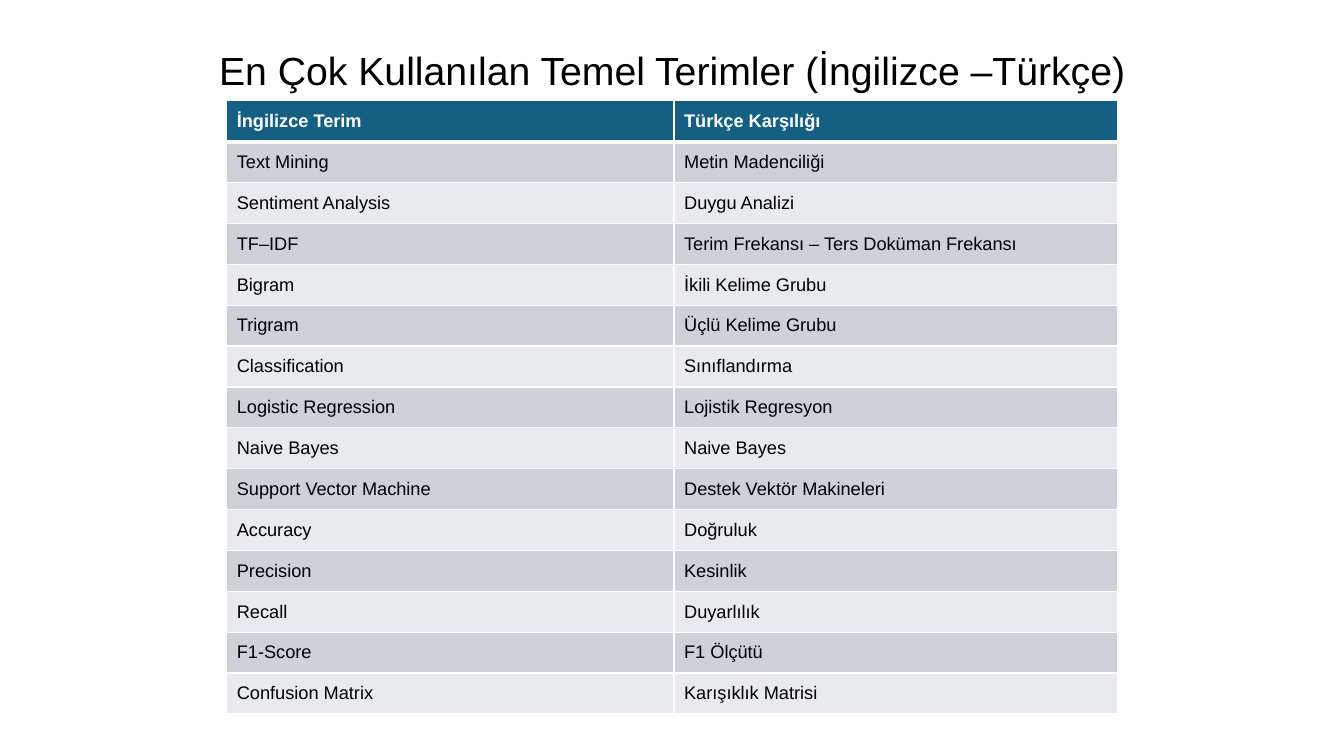
import pptx
import pptx.dml.color
import pptx.enum.text
import pptx.oxml
import pptx.oxml.ns
import pptx.util

Pt = pptx.util.Pt

TITLE = "En Çok Kullanılan Temel Terimler (İngilizce –Türkçe)"
TERMS = [
    ("İngilizce Terim", "Türkçe Karşılığı"),
    ("Text Mining", "Metin Madenciliği"),
    ("Sentiment Analysis", "Duygu Analizi"),
    ("TF–IDF", "Terim Frekansı – Ters Doküman Frekansı"),
    ("Bigram", "İkili Kelime Grubu"),
    ("Trigram", "Üçlü Kelime Grubu"),
    ("Classification", "Sınıflandırma"),
    ("Logistic Regression", "Lojistik Regresyon"),
    ("Naive Bayes", "Naive Bayes"),
    ("Support Vector Machine", "Destek Vektör Makineleri"),
    ("Accuracy", "Doğruluk"),
    ("Precision", "Kesinlik"),
    ("Recall", "Duyarlılık"),
    ("F1-Score", "F1 Ölçütü"),
    ("Confusion Matrix", "Karışıklık Matrisi"),
]
SLIDE_WIDTH, SLIDE_HEIGHT = 960, 540
TABLE_LEFT, TABLE_TOP = 162, 72
COLUMN_WIDTHS = (319.5, 317)
ROW_HEIGHT = 29.2
HEADER_FILL = "156082"
BAND_FILLS = ("E8EAED", "CCD2D8")
WHITE, BLACK = "FFFFFF", "000000"


def color(hex_code):
    return pptx.dml.color.RGBColor.from_string(hex_code)


def add_run(paragraph, text, size, hex_code, bold=False):
    run = paragraph.add_run()
    run.text = text
    run.font.name = "Arial"
    run.font.size = Pt(size)
    run.font.bold = bold
    run.font.color.rgb = color(hex_code)


def set_borders(cell, widths):
    """Draw white borders; widths gives points for each side, L, R, T and B."""
    properties = cell._tc.get_or_add_tcPr()
    for position, (side, width) in enumerate(widths.items()):
        line = pptx.oxml.parse_xml(
            f'<a:ln{side} {pptx.oxml.ns.nsdecls("a")} w="{Pt(width)}">'
            f'<a:solidFill><a:srgbClr val="{WHITE}"/></a:solidFill></a:ln{side}>')
        properties.insert(position, line)


def add_title(slide):
    box = slide.shapes.add_textbox(0, Pt(29.5), Pt(SLIDE_WIDTH), Pt(41.2))
    box.text_frame.word_wrap = True
    heading = box.text_frame.paragraphs[0]
    heading.alignment = pptx.enum.text.PP_ALIGN.CENTER
    add_run(heading, TITLE, 28, BLACK)


def add_glossary(slide):
    glossary = slide.shapes.add_table(
        len(TERMS), len(COLUMN_WIDTHS), Pt(TABLE_LEFT), Pt(TABLE_TOP),
        Pt(sum(COLUMN_WIDTHS)), Pt(ROW_HEIGHT * len(TERMS))).table
    for column, width in zip(glossary.columns, COLUMN_WIDTHS):
        column.width = Pt(width)
    for index, (row, pair) in enumerate(zip(glossary.rows, TERMS)):
        row.height = Pt(ROW_HEIGHT)
        header = index == 0
        for cell, term in zip(row.cells, pair):
            cell.vertical_anchor = pptx.enum.text.MSO_ANCHOR.MIDDLE
            cell.fill.solid()
            cell.fill.fore_color.rgb = color(HEADER_FILL if header else BAND_FILLS[index % 2])
            set_borders(cell, {"L": 1, "R": 1, "T": 3 if index == 1 else 1, "B": 3 if header else 1})
            add_run(cell.text_frame.paragraphs[0], term, 13, WHITE if header else BLACK, header)


def main():
    deck = pptx.Presentation()
    deck.slide_width, deck.slide_height = Pt(SLIDE_WIDTH), Pt(SLIDE_HEIGHT)
    slide = deck.slides.add_slide(deck.slide_layouts[6])
    add_glossary(slide)
    add_title(slide)
    deck.save("out.pptx")


if __name__ == "__main__":
    main()
